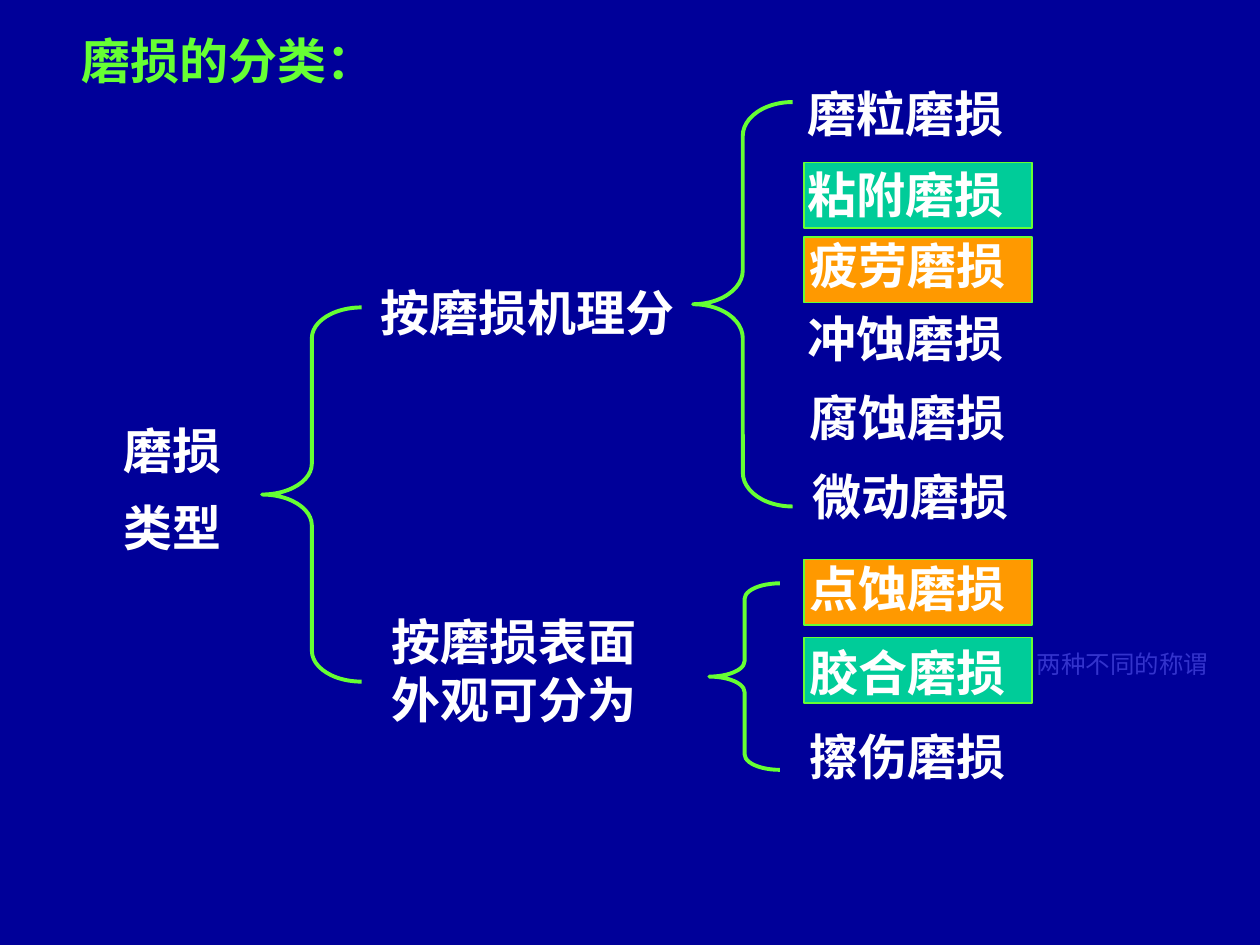
import pptx
import pptx.util
import pptx.dml.color
import pptx.enum.shapes
import pptx.enum.text
import pptx.oxml.ns
import lxml.etree

Inches = pptx.util.Inches
Pt = pptx.util.Pt
KIND = pptx.enum.shapes.MSO_SHAPE
FACE = "Noto Sans CJK SC"
COLORS = {
    "back": "000099",
    "lime": "66FF33",
    "white": "FFFFFF",
    "orange": "FF9900",
    "teal": "00CC99",
    "note": "3333CC",
}


def color(name):
    return pptx.dml.color.RGBColor.from_string(COLORS[name])


def place(shape, box):
    shape.left, shape.top, shape.width, shape.height = map(Inches, box)


def write(shape, text, tint="white", size=28, bold=True, pad=(0, 0), gap=1):
    frame = shape.text_frame
    frame.word_wrap = True
    frame.auto_size = pptx.enum.text.MSO_AUTO_SIZE.NONE
    frame.vertical_anchor = pptx.enum.text.MSO_ANCHOR.TOP
    frame.margin_left = frame.margin_right = Inches(pad[0])
    frame.margin_top = frame.margin_bottom = Inches(pad[1])
    frame.text = text
    para = frame.paragraphs[0]
    para.alignment = pptx.enum.text.PP_ALIGN.LEFT
    para.line_spacing = gap
    font = para.font
    font.size, font.bold, font.name = Pt(size), bold, FACE
    font.color.rgb = color(tint)
    props = para._p.pPr.find(pptx.oxml.ns.qn("a:defRPr"))
    east = lxml.etree.SubElement(props, pptx.oxml.ns.qn("a:ea"))
    east.set("typeface", FACE)


def label(slide, box, text, **style):
    write(slide.shapes.add_textbox(*map(Inches, box)), text, **style)


def title(slide, box):
    shape = slide.shapes.title
    place(shape, box)
    write(shape, "磨损的分类：", tint="lime", gap=1.3)


def brace(slide, box, bend):
    shape = slide.shapes.add_shape(KIND.LEFT_BRACE, *map(Inches, box))
    shape.adjustments[0] = bend
    shape.shadow.inherit = False
    shape.fill.background()
    shape.line.color.rgb = color("lime")
    shape.line.width = Pt(2.25)


def panel(slide, box, tint):
    shape = slide.shapes.add_shape(KIND.RECTANGLE, *map(Inches, box))
    shape.shadow.inherit = False
    shape.fill.solid()
    shape.fill.fore_color.rgb = color(tint)
    shape.line.color.rgb = color("lime")
    shape.line.width = Pt(0.75)


def leaves(slide, box, items):
    left, top, width, height = box
    for text, shift, drop, tint, lift in items:
        if tint:
            panel(slide, (6.38, top + drop + lift, 1.81, 0.52), tint)
        spot = (left + shift, top + drop, width, height)
        label(slide, spot, text, pad=(0.1, 0.05))


def root(slide, box):
    left, top, width, height = box
    label(slide, (left, top + 0.76, 0.95, 1.21), "磨损类型", gap=1.3)
    brace(slide, (left + 1.1, top, 0.79, height), 0.31)


def causes(slide, box):
    left, top, width, height = box
    label(slide, (left, top + 1.49, 2.51, 0.61), "按磨损机理分", gap=1.3)
    brace(slide, (left + 2.48, top + 0.2, 0.79, 3.21), 0.34)
    items = [
        ("磨粒磨损", 0, 0, None, 0),
        ("粘附磨损", 0, 0.65, "teal", 0.03),
        ("疲劳磨损", 0.02, 1.21, "orange", 0.06),
        ("冲蚀磨损", 0, 1.79, None, 0),
        ("腐蚀磨损", 0.02, 2.42, None, 0),
        ("微动磨损", 0.04, 3.04, None, 0),
    ]
    leaves(slide, (left + 3.29, top, 1.84, 0.57), items)


def looks(slide, box):
    left, top, width, height = box
    label(slide, (left, top + 0.47, 2.19, 0.93), "按磨损表面外观可分为")
    brace(slide, (left + 2.52, top + 0.25, 0.56, 1.48), 0.22)
    items = [
        ("点蚀磨损", 0, 0, "orange", 0.06),
        ("胶合磨损", 0, 0.67, "teal", 0.01),
        ("擦伤磨损", 0, 1.34, None, 0),
    ]
    leaves(slide, (left + 3.22, top, 1.84, 0.57), items)
    label(slide, (left + 5.02, top + 0.72, 1.61, 0.34), "两种不同的称谓",
          tint="note", size=14, bold=False, pad=(0.1, 0.05))


def main():
    deck = pptx.Presentation()
    deck.slide_width, deck.slide_height = Inches(10), Inches(7.5)
    slide = deck.slides.add_slide(deck.slide_layouts[5])
    fill = slide.background.fill
    fill.solid()
    fill.fore_color.rgb = color("back")
    title(slide, (0.65, 0.1, 2.51, 0.61))
    root(slide, (0.98, 2.44, 1.9, 2.97))
    causes(slide, (3.02, 0.61, 5.17, 3.61))
    looks(slide, (3.11, 4.38, 6.63, 1.91))
    deck.save("out.pptx")


if __name__ == "__main__":
    main()
